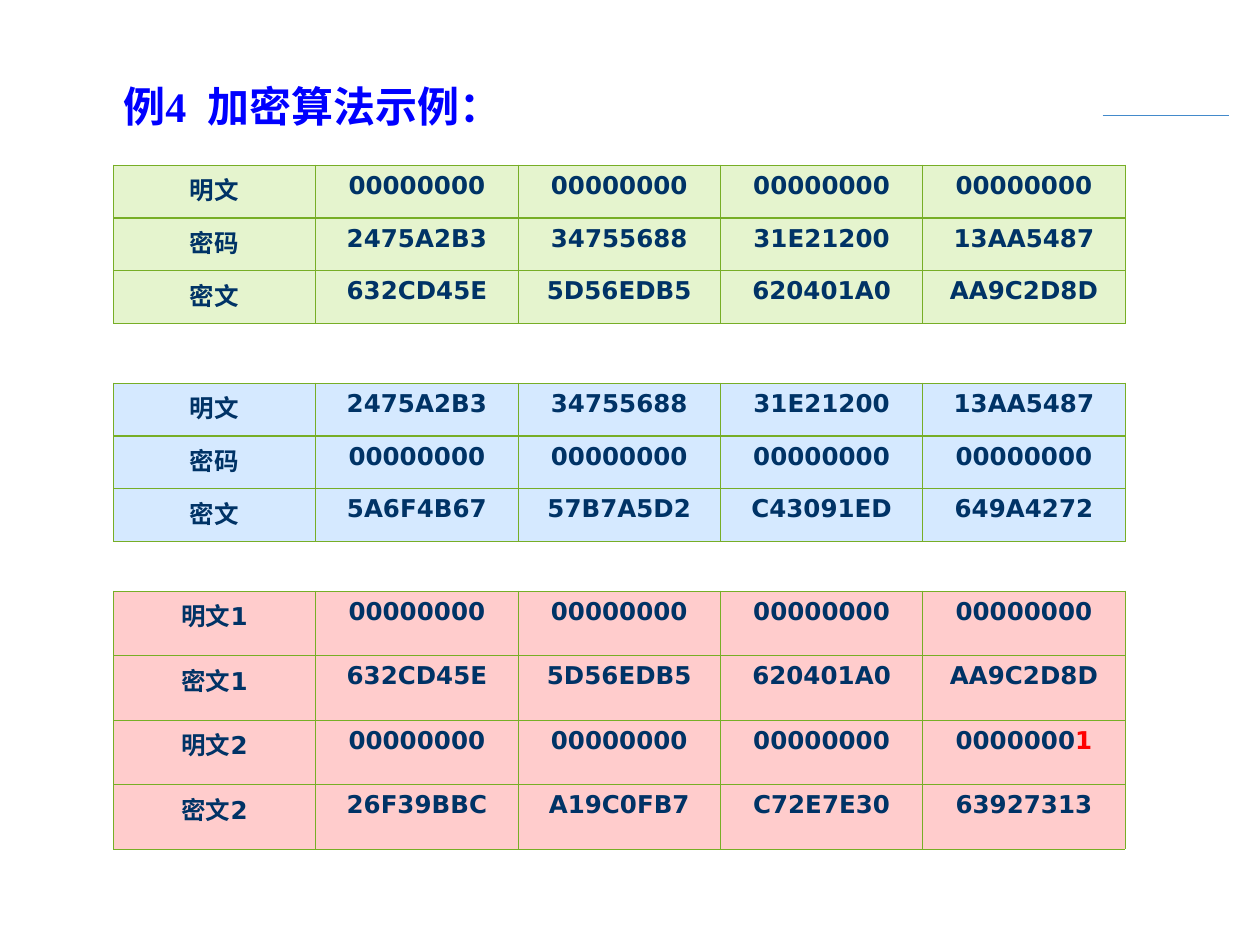
from dataclasses import dataclass

from lxml import etree
from pptx import Presentation
from pptx import util as u
from pptx.dml.color import RGBColor
from pptx.enum import shapes, text
from pptx.oxml import ns
from pptx.slide import Slide
from pptx.table import _Cell
from pptx.text.text import _Paragraph

BLUE = RGBColor(0x00, 0x00, 0xFF)
NAVY = RGBColor(0x00, 0x33, 0x66)
RED = RGBColor(0xFF, 0x00, 0x00)
RULE_BLUE = RGBColor(0x43, 0x8A, 0xCB)
BORDER_GREEN = RGBColor(0x77, 0xAE, 0x26)
PALE_GREEN = RGBColor(0xE5, 0xF4, 0xCE)
PALE_BLUE = RGBColor(0xD5, 0xE9, 0xFF)
PALE_RED = RGBColor(0xFF, 0xCC, 0xCC)

LEFT = u.Pt(64.8)
COLUMN_WIDTH = u.Pt(115.63)
THIN = u.Pt(0.45)
THICK = u.Pt(0.96)

HEADING_FORMAT = {"size": u.Pt(24), "name": "Times New Roman", "bold": True}
BLOCK_FORMAT = {"size": u.Pt(14), "name": "DejaVu Sans", "bold": True}
HEADING_BOX = {"left": LEFT, "top": u.Pt(43.2), "width": u.Pt(340.56), "height": u.Pt(34.56)}
HEADING_FRAME = {
    "margin_left": u.Pt(5.76),
    "margin_right": u.Pt(5.76),
    "margin_top": u.Pt(2.88),
    "margin_bottom": u.Pt(2.88),
    "word_wrap": True,
    "auto_size": text.MSO_AUTO_SIZE.NONE,
    "vertical_anchor": text.MSO_ANCHOR.MIDDLE,
}

ZEROS = ("00000000",) * 4
KEY_WORDS = ("2475A2B3", "34755688", "31E21200", "13AA5487")
ZERO_CIPHER = ("632CD45E", "5D56EDB5", "620401A0", "AA9C2D8D")
CHANGED_BIT = "00000001"


@dataclass(frozen=True)
class Example:
    top: u.Length
    row_height: u.Length
    tint: RGBColor
    rows: tuple[tuple[str, ...], ...]


EXAMPLES = (
    Example(u.Pt(94.32), u.Pt(30.24), PALE_GREEN, (
        ("明文", *ZEROS),
        ("密码", *KEY_WORDS),
        ("密文", *ZERO_CIPHER),
    )),
    Example(u.Pt(218.88), u.Pt(30.24), PALE_BLUE, (
        ("明文", *KEY_WORDS),
        ("密码", *ZEROS),
        ("密文", "5A6F4B67", "57B7A5D2", "C43091ED", "649A4272"),
    )),
    Example(u.Pt(337.68), u.Pt(36.9), PALE_RED, (
        ("明文1", *ZEROS),
        ("密文1", *ZERO_CIPHER),
        ("明文2", *ZEROS[:3], CHANGED_BIT),
        ("密文2", "26F39BBC", "A19C0FB7", "C72E7E30", "63927313"),
    )),
)


def apply(target: object, values: dict) -> None:
    for key, value in values.items():
        setattr(target, key, value)


def write(paragraph: _Paragraph, words: str, values: dict, color: RGBColor) -> None:
    run = paragraph.add_run()
    run.text = words
    apply(run.font, values)
    run.font.color.rgb = color


def add_heading(slide: Slide) -> None:
    heading = slide.shapes.title
    apply(heading, HEADING_BOX)
    apply(heading.text_frame, HEADING_FRAME)
    paragraph = heading.text_frame.paragraphs[0]
    paragraph.alignment = text.PP_ALIGN.LEFT
    write(paragraph, "例4  加密算法示例：", HEADING_FORMAT, BLUE)


def add_rule(slide: Slide) -> None:
    rule = slide.shapes.add_connector(
        shapes.MSO_CONNECTOR.STRAIGHT, u.Pt(630), u.Pt(66), u.Pt(702), u.Pt(66))
    rule.line.width = u.Pt(0.75)
    rule.line.color.rgb = RULE_BLUE
    etree.SubElement(rule._element.spPr, ns.qn("a:effectLst"))


def set_borders(cell: _Cell, widths: dict[str, u.Length]) -> None:
    properties = cell._tc.get_or_add_tcPr()
    for side, width in widths.items():
        border = etree.SubElement(properties, ns.qn(f"a:ln{side}"), w=str(width))
        fill = etree.SubElement(border, ns.qn("a:solidFill"))
        etree.SubElement(fill, ns.qn("a:srgbClr"), val=str(BORDER_GREEN))


def add_example(slide: Slide, example: Example) -> None:
    row_count, column_count = len(example.rows), len(example.rows[0])
    grid = slide.shapes.add_table(
        row_count, column_count, LEFT, example.top,
        COLUMN_WIDTH * column_count, example.row_height * row_count).table
    apply(grid, {"first_row": False, "horz_banding": False})
    for column in grid.columns:
        column.width = COLUMN_WIDTH
    for row_index, words in enumerate(example.rows):
        grid.rows[row_index].height = example.row_height
        widths = {
            "L": THIN,
            "R": THIN,
            "T": THICK if row_index == 1 else THIN,
            "B": THICK if row_index == 0 else THIN,
        }
        for column_index, word in enumerate(words):
            cell = grid.cell(row_index, column_index)
            set_borders(cell, widths)
            cell.fill.solid()
            cell.fill.fore_color.rgb = example.tint
            paragraph = cell.text_frame.paragraphs[0]
            paragraph.alignment = text.PP_ALIGN.CENTER
            if word == CHANGED_BIT:
                write(paragraph, word[:-1], BLOCK_FORMAT, NAVY)
                write(paragraph, word[-1], BLOCK_FORMAT, RED)
            else:
                write(paragraph, word, BLOCK_FORMAT, NAVY)


def main() -> None:
    deck = Presentation()
    apply(deck, {"slide_width": u.Pt(720), "slide_height": u.Pt(540)})
    slide = deck.slides.add_slide(deck.slide_layouts.get_by_name("Title Only"))
    add_rule(slide)
    add_heading(slide)
    for example in EXAMPLES:
        add_example(slide, example)
    deck.save("out.pptx")


if __name__ == "__main__":
    main()
